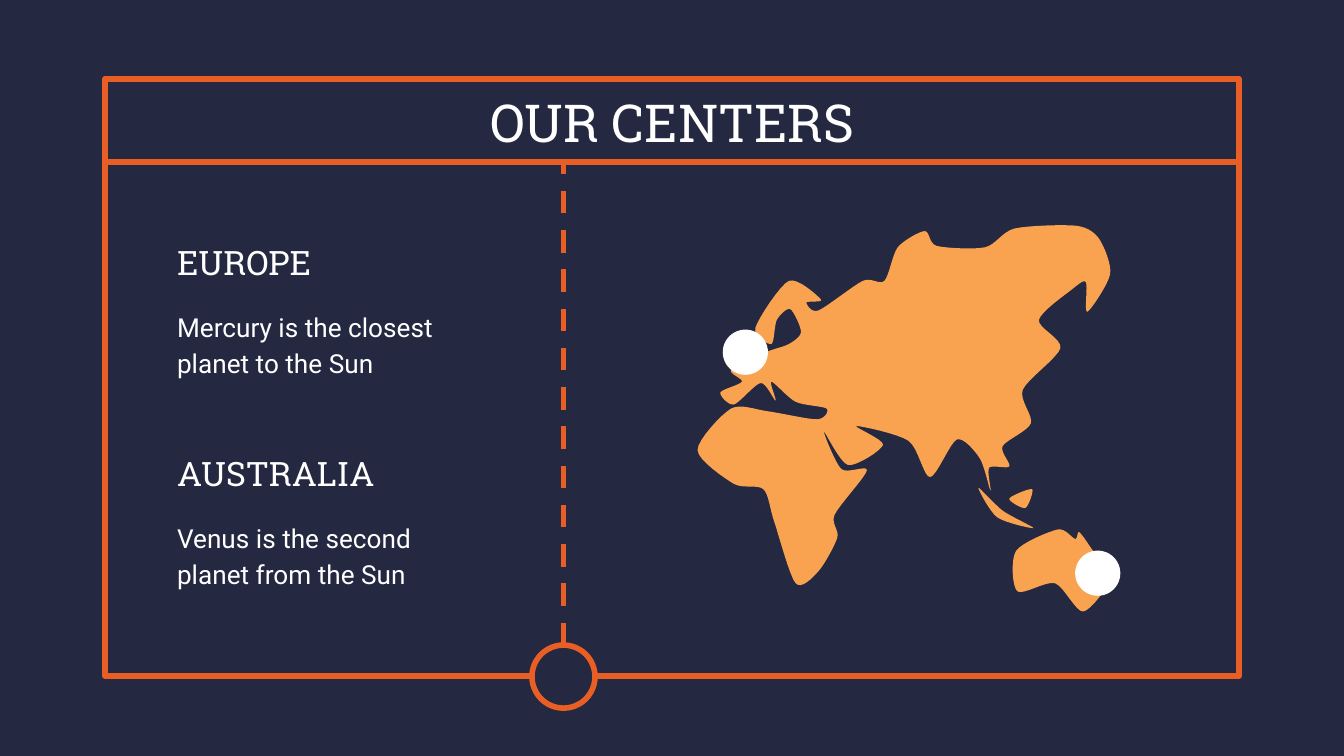
from lxml import etree
from pptx import Presentation
from pptx.dml.color import RGBColor
from pptx.enum.dml import MSO_LINE
from pptx.enum.shapes import MSO_CONNECTOR as CONN, MSO_SHAPE as SHAPE
from pptx.enum.text import MSO_ANCHOR as ANCHOR, PP_ALIGN as ALIGN
from pptx.oxml.ns import qn
from pptx.util import Pt

COLORS = {"night": "242841", "orange": "E95E24", "land": "F9A350", "white": "FFFFFF"}
RGB = {name: RGBColor.from_string(value) for name, value in COLORS.items()}

EURASIA_AFRICA = [
    (801, 168), (755, 170), (733, 184), (697, 183), (688, 172), (668, 184),
    (658, 209), (642, 209), (609, 231), (600, 225), (611, 223), (587, 209),
    (562, 244), (574, 256), (578, 238), (588, 230), (596, 247), (587, 256),
    (570, 262), (544, 275), (552, 284), (536, 292), (546, 301), (566, 285),
    (577, 298), (574, 284), (592, 299), (615, 304), (608, 312), (571, 306),
    (544, 304), (519, 335), (546, 360), (568, 364), (576, 388), (592, 434),
    (609, 425), (623, 400), (621, 383), (645, 350), (626, 349), (613, 321),
    (631, 346), (657, 331), (637, 317), (676, 328), (692, 355), (712, 327),
    (729, 341), (737, 365), (736, 348), (751, 347), (746, 332), (767, 315),
    (761, 290), (789, 259), (773, 238), (798, 215), (808, 210), (809, 232),
    (826, 204), (818, 178),
]
BORNEO = [(768, 364), (751, 371), (763, 378)]
SUMATRA = [(728, 363), (742, 385), (769, 393), (746, 380)]
AUSTRALIA = [
    (787, 394), (756, 410), (757, 440), (785, 434), (806, 455), (826, 430),
    (812, 408), (803, 396), (800, 401),
]

prs = Presentation()
prs.slide_width, prs.slide_height = Pt(720), Pt(405)
s = prs.slides.add_slide(prs.slide_layouts[6])
s.background.fill.solid()
s.background.fill.fore_color.rgb = RGB["night"]


def style(shape, fill=None, line=None):
    if fill:
        shape.fill.solid()
        shape.fill.fore_color.rgb = RGB[fill]
    else:
        shape.fill.background()
    if line:
        shape.line.color.rgb = RGB[line]
        shape.line.width = Pt(3)
    else:
        shape.line.fill.background()
    shape.shadow.inherit = False


def smooth_outline(knots, steps=8, tension=0.4):
    curve = []
    for i, b in enumerate(knots):
        a, c, d = knots[i - 1], knots[(i + 1) % len(knots)], knots[(i + 2) % len(knots)]
        for t in (k / steps for k in range(steps)):
            h = (2 * t**3 - 3 * t**2 + 1, 3 * t**2 - 2 * t**3,
                 tension * (t**3 - 2 * t**2 + t), tension * (t**3 - t**2))
            curve.append(tuple(
                72 * (h[0] * b[n] + h[1] * c[n] + h[2] * (c[n] - a[n]) + h[3] * (d[n] - b[n]))
                for n in (0, 1)))
    return curve


frame = s.shapes.add_shape(SHAPE.RECTANGLE, Pt(56.2), Pt(42.2), Pt(607.6), Pt(320))
style(frame, line="orange")

for x1, y1, x2, y2, dash in [
    (57.6, 86.9, 662.4, 86.9, None),
    (301.9, 345.6, 301.9, 86.4, MSO_LINE.DASH),
]:
    rule = s.shapes.add_connector(CONN.STRAIGHT, Pt(x1), Pt(y1), Pt(x2), Pt(y2))
    rule.line.color.rgb = RGB["orange"]
    rule.line.width = Pt(3)
    if dash:
        rule.line.dash_style = dash
    etree.SubElement(rule._element.spPr, qn("a:effectLst"))

texts = [("OUR CENTERS", 56.2, 42.2, 607.6, 45.4, 28, "Roboto Slab")]
for top, place, detail in [
    (121.7, "EUROPE", "Mercury is the closest planet to the Sun"),
    (234.7, "AUSTRALIA", "Venus is the second planet from the Sun"),
]:
    texts.append((place, 87.8, top, 175.7, 33.8, 18, "Roboto Slab"))
    texts.append((detail, 87.8, top + 33.8, 175.7, 56.2, 14, "Roboto"))

for text, x, y, w, h, size, font in texts:
    tf = s.shapes.add_textbox(Pt(x), Pt(y), Pt(w), Pt(h)).text_frame
    tf.word_wrap = True
    tf.vertical_anchor = ANCHOR.MIDDLE
    tf.margin_left = tf.margin_right = tf.margin_top = tf.margin_bottom = Pt(7.2)
    p = tf.paragraphs[0]
    p.text = text
    p.font.size = Pt(size)
    p.font.name = font
    p.font.color.rgb = RGB["white"]
    if size == 28:
        p.alignment = ALIGN.CENTER
    else:
        p.line_spacing = 1.15
        p.space_after = Pt(12)

for knots in (EURASIA_AFRICA, BORNEO, SUMATRA, AUSTRALIA):
    outline = smooth_outline(knots)
    builder = s.shapes.build_freeform(*outline[0], scale=Pt(0.01))
    builder.add_line_segments(outline[1:], close=True)
    style(builder.convert_to_shape(), fill="land")

for x, y, d, fill, line in [
    (576, 295, 24.2, "white", None),
    (387.2, 176.6, 24.2, "white", None),
    (285, 345.6, 33.8, "night", "orange"),
]:
    style(s.shapes.add_shape(SHAPE.OVAL, Pt(x), Pt(y), Pt(d), Pt(d)), fill, line)

prs.save("out.pptx")
